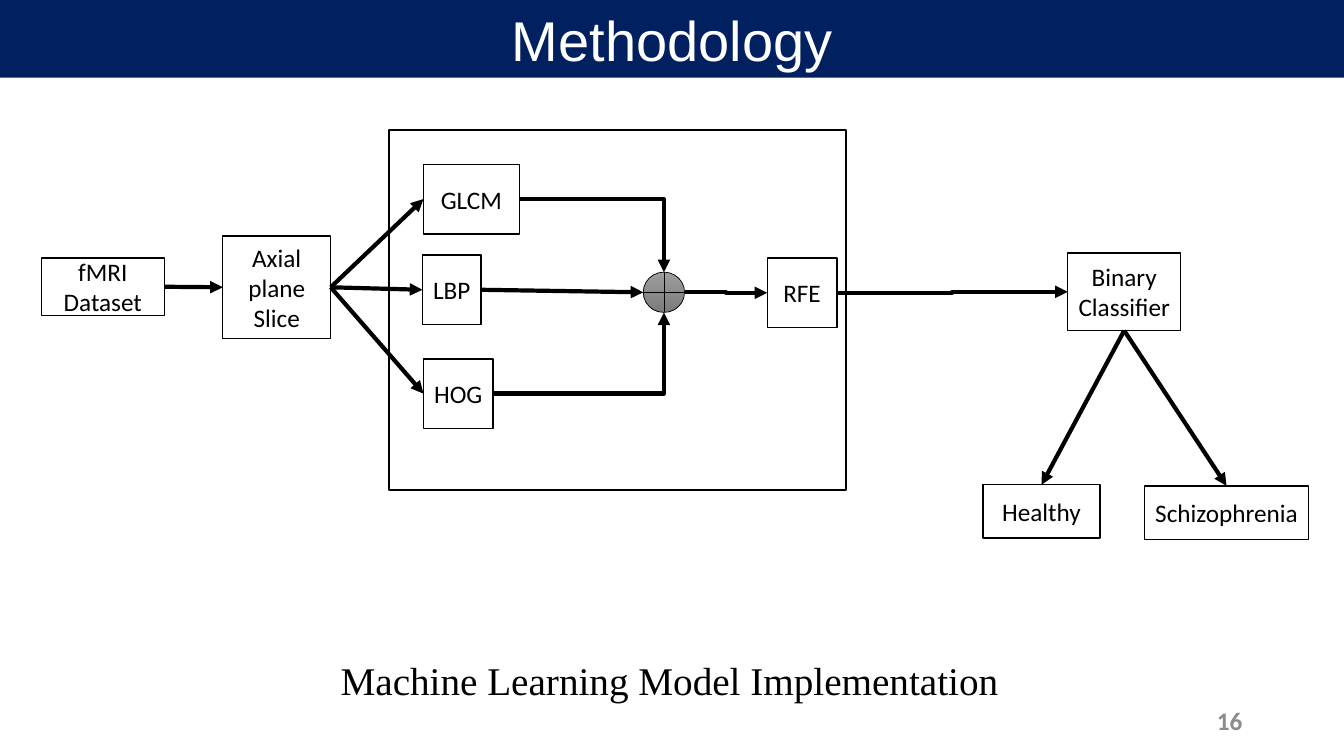
from dataclasses import dataclass

from lxml.etree import SubElement
from pptx import Presentation
from pptx.dml.color import RGBColor as RGB
from pptx.enum.shapes import MSO_CONNECTOR as CONN, MSO_SHAPE as SHAPE
from pptx.enum.text import MSO_ANCHOR as ANCHOR, MSO_AUTO_SIZE as FIT, PP_ALIGN as ALIGN
from pptx.oxml.ns import qn
from pptx.util import Inches, Pt

TOP, LEFT, BOTTOM, RIGHT = range(4)


@dataclass(frozen=True)
class Theme:
    ink: RGB = RGB(0, 0, 0)
    paper: RGB = RGB(255, 255, 255)
    banner: RGB = RGB(0x00, 0x20, 0x60)
    muted: RGB = RGB(0x8C, 0x8C, 0x8C)
    junction: tuple = (RGB(0x9D, 0x9D, 0x9D), RGB(0x7C, 0x7C, 0x7C))
    title_font: str = "Arial"
    body_font: str = "Calibri"
    caption_font: str = "Times New Roman"
    title_size: int = 40
    caption_size: int = 28
    body_size: int = 18
    outline: float = 1
    thin: float = 0.5
    arrow: float = 3


class Deck:
    def __init__(self, theme):
        self.theme = theme
        self.prs = Presentation()
        self.prs.slide_width, self.prs.slide_height = Inches(13.33), Inches(7.5)
        self.slide = self.prs.slides.add_slide(self.prs.slide_layouts[5])

    def set_text(self, tf, text, font, size, color, align, bold=False):
        tf.word_wrap = True
        tf.text = text
        for p in tf.paragraphs:
            p.alignment = align
            p.font.name, p.font.size, p.font.bold = font, Pt(size), bold
            p.font.color.rgb = color

    def title(self, text, x, y, w, h):
        t, sp = self.theme, self.slide.shapes.title
        sp.left, sp.top, sp.width, sp.height = map(Inches, (x, y, w, h))
        sp.fill.solid()
        sp.fill.fore_color.rgb = t.banner
        sp.text_frame.auto_size = FIT.NONE
        sp.text_frame.vertical_anchor = ANCHOR.MIDDLE
        self.set_text(sp.text_frame, text, t.title_font, t.title_size, t.paper, ALIGN.CENTER)

    def label(self, text, x, y, w, h, font, size, color, align=ALIGN.LEFT, bold=False):
        sp = self.slide.shapes.add_textbox(*map(Inches, (x, y, w, h)))
        self.set_text(sp.text_frame, text, font, size, color, align, bold)

    def shape(self, kind, x, y, w, h, outline):
        sp = self.slide.shapes.add_shape(kind, *map(Inches, (x, y, w, h)))
        sp.shadow.inherit = False
        sp.line.color.rgb = self.theme.ink
        sp.line.width = Pt(outline)
        return sp

    def box(self, text, x, y, w, h):
        t = self.theme
        sp = self.shape(SHAPE.RECTANGLE, x, y, w, h, t.outline)
        sp.fill.solid()
        sp.fill.fore_color.rgb = t.paper
        if text:
            tf = sp.text_frame
            tf.margin_left = tf.margin_right = Inches(0.05)
            tf.vertical_anchor = ANCHOR.MIDDLE
            self.set_text(tf, text, t.body_font, t.body_size, t.ink, ALIGN.CENTER)
        return sp

    def junction(self, x, y, w, h):
        sp = self.shape(SHAPE.FLOWCHART_OR, x, y, w, h, self.theme.thin)
        sp.fill.gradient()
        sp.fill.gradient_angle = 270
        for stop, color in zip(sp.fill.gradient_stops, self.theme.junction):
            stop.color.rgb = color
        return sp

    def site(self, sp, side):
        mid_x, mid_y = sp.left + sp.width // 2, sp.top + sp.height // 2
        return {
            TOP: (mid_x, sp.top),
            LEFT: (sp.left, mid_y),
            BOTTOM: (mid_x, sp.top + sp.height),
            RIGHT: (sp.left + sp.width, mid_y),
        }[side]

    def arrow(self, start, start_side, end, end_side, kind=CONN.STRAIGHT, corner=False):
        c = self.slide.shapes.add_connector(
            kind, *self.site(start, start_side), *self.site(end, end_side))
        if kind == CONN.STRAIGHT:
            c.begin_connect(start, start_side)
            if end.auto_shape_type == SHAPE.RECTANGLE:
                c.end_connect(end, end_side)
        c.line.color.rgb = self.theme.ink
        c.line.width = Pt(self.theme.arrow)
        props = c._element.spPr
        if corner:
            props.find(qn("a:prstGeom")).set("prst", "bentConnector2")
        SubElement(props.find(qn("a:ln")), qn("a:tailEnd"), type="triangle")
        SubElement(props, qn("a:effectLst"))


def main():
    t = Theme()
    d = Deck(t)
    d.title("Methodology", 0, 0, 13.33, 0.77)
    d.box("", 3.86, 1.29, 4.53, 3.57)

    dataset = d.box("fMRI Dataset", 0.41, 2.56, 1.22, 0.57)
    axial = d.box("Axial plane\nSlice", 2.21, 2.34, 1.07, 1.02)
    glcm = d.box("GLCM", 4.2, 1.63, 0.95, 0.69)
    lbp = d.box("LBP", 4.19, 2.53, 0.58, 0.69)
    hog = d.box("HOG", 4.2, 3.56, 0.69, 0.69)
    merge = d.junction(6.38, 2.7, 0.41, 0.4)
    rfe = d.box("RFE", 7.61, 2.56, 0.69, 0.69)
    classifier = d.box("Binary Classifier", 10.59, 2.51, 1.12, 0.77)
    healthy = d.box("Healthy", 9.75, 4.81, 1.16, 0.53)
    schizophrenia = d.box("Schizophrenia", 11.35, 4.82, 1.63, 0.53)

    d.arrow(dataset, RIGHT, axial, LEFT)
    for feature in (glcm, lbp, hog):
        d.arrow(axial, RIGHT, feature, LEFT)
    d.arrow(glcm, RIGHT, merge, TOP, CONN.ELBOW, corner=True)
    d.arrow(lbp, RIGHT, merge, LEFT)
    d.arrow(hog, RIGHT, merge, BOTTOM, CONN.ELBOW, corner=True)
    d.arrow(merge, RIGHT, rfe, LEFT, CONN.ELBOW)
    d.arrow(rfe, RIGHT, classifier, LEFT, CONN.ELBOW)
    for outcome in (healthy, schizophrenia):
        d.arrow(classifier, BOTTOM, outcome, TOP)

    d.label("Machine Learning Model Implementation", 3.28, 6.46, 9.01, 0.57,
            t.caption_font, t.caption_size, t.ink)
    d.label("16", 9.42, 6.95, 3, 0.4, t.body_font, t.body_size, t.muted, ALIGN.RIGHT, bold=True)
    d.prs.save("out.pptx")


if __name__ == "__main__":
    main()
